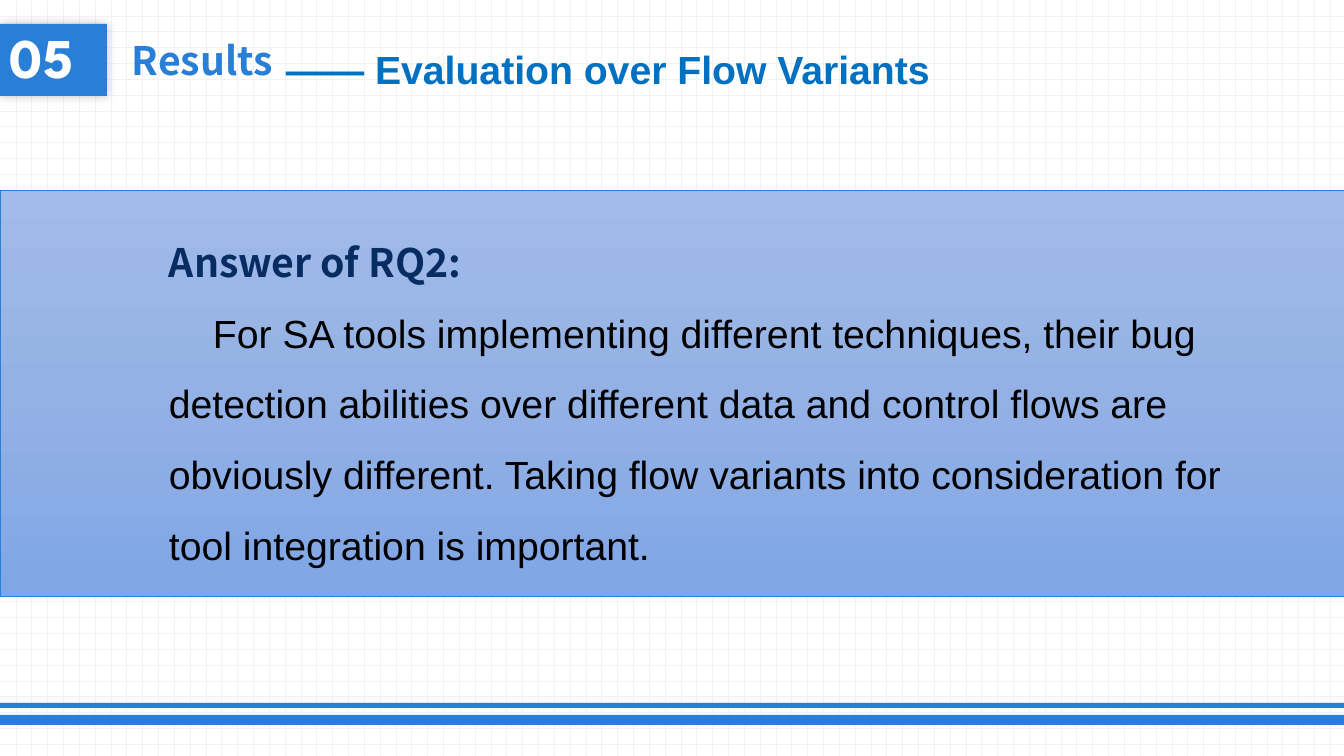
import copy

import lxml.etree
import pptx
import pptx.dml.color
import pptx.enum.dml
import pptx.enum.shapes
import pptx.enum.text
import pptx.oxml
import pptx.oxml.ns
import pptx.util

RGBColor = pptx.dml.color.RGBColor
BLUE = RGBColor(0x29, 0x7F, 0xD5)
SUBTITLE_BLUE = RGBColor(0x00, 0x70, 0xC0)
NAVY = RGBColor(0x07, 0x2C, 0x62)
BLACK = RGBColor(0x00, 0x00, 0x00)
WHITE = RGBColor(0xFF, 0xFF, 0xFF)
GRID = RGBColor(0xF2, 0xF2, 0xF2)
PANEL_STOPS = (
    RGBColor(0xA2, 0xBC, 0xE9),
    RGBColor(0x94, 0xB1, 0xE5),
    RGBColor(0x80, 0xA6, 0xE6),
)

HEADING_FONT = "Noto Sans CJK SC"
NUMBER_FONT = "League Spartan"
BODY_FONT = "Arial"
WIDTH, HEIGHT = 1344, 756
PX_PER_INCH = 100.8


def px(n):
    """Turn pixels into EMU."""
    return pptx.util.Emu(round(n * 914400 / PX_PER_INCH))


def add_rect(s, x, y, w, h, fill=BLUE):
    """Add a flat rectangle without outline or shadow."""
    sp = s.shapes.add_shape(
        pptx.enum.shapes.MSO_SHAPE.RECTANGLE, px(x), px(y), px(w), px(h))
    sp.shadow.inherit = False
    sp.fill.solid()
    sp.fill.fore_color.rgb = fill
    sp.line.fill.background()
    return sp


def add_textbox(s, x, y, w, h):
    """Add an empty wrapping text box."""
    return s.shapes.add_textbox(px(x), px(y), px(w), px(h))


def write(sp, text, font=BODY_FONT, size=28, color=BLACK, bold=True,
          spacing=1.0, indent=0, middle=False):
    """Write one formatted paragraph into a shape."""
    tf = sp.text_frame
    tf.word_wrap = True
    tf.vertical_anchor = (pptx.enum.text.MSO_ANCHOR.MIDDLE if middle
                          else pptx.enum.text.MSO_ANCHOR.TOP)
    p = tf.add_paragraph() if tf.text else tf.paragraphs[0]
    p.alignment = pptx.enum.text.PP_ALIGN.LEFT
    p.line_spacing = spacing
    if indent:
        p._p.get_or_add_pPr().set("indent", str(px(indent)))
    r = p.add_run()
    r.text = text
    r.font.name = font
    r.font.size = pptx.util.Pt(size)
    r.font.bold = bold
    r.font.color.rgb = color


def add_shadow(sp):
    """Give a shape a soft, centred black shadow."""
    effects = sp._element.spPr.find(pptx.oxml.ns.qn("a:effectLst"))
    shadow = lxml.etree.SubElement(
        effects, pptx.oxml.ns.qn("a:outerShdw"),
        blurRad=str(pptx.util.Pt(7)), dist="0", dir="0")
    color = lxml.etree.SubElement(
        shadow, pptx.oxml.ns.qn("a:srgbClr"), val="000000")
    lxml.etree.SubElement(color, pptx.oxml.ns.qn("a:alpha"), val="25000")


def add_header(s, x, y, w, h):
    """Place the section number, title and subtitle."""
    badge = add_rect(s, x, y, 107, h)
    add_shadow(badge)
    write(badge, "05", font=NUMBER_FONT, size=40, color=WHITE,
          spacing=0.9, middle=True)
    title = add_textbox(s, x + 122, y, 911, h)
    write(title, "Results", font=HEADING_FONT, color=BLUE, middle=True)
    subtitle = add_textbox(s, x + 276, y - 7, w - 439, h)
    write(subtitle, "—— Evaluation over Flow Variants",
          color=SUBTITLE_BLUE, spacing=1.5)


def add_answer(s, x, y, w, h):
    """Place the gradient panel with the answer text."""
    panel = add_rect(s, x, y, w, h)
    panel.line.color.rgb = BLUE
    panel.line.width = pptx.util.Pt(0.5)
    panel.fill.gradient()
    panel.fill.gradient_angle = 270
    first = panel._element.spPr.find(".//" + pptx.oxml.ns.qn("a:gs"))
    first.addnext(copy.deepcopy(first))
    for i, (stop, color) in enumerate(
            zip(panel.fill.gradient_stops, PANEL_STOPS)):
        stop.position = i / 2
        stop.color.rgb = color
    answer = add_textbox(s, x + 159, y + 20, w - 257, h - 48)
    write(answer, "Answer of RQ2:", font=HEADING_FONT, color=NAVY, spacing=1.5)
    write(answer,
          "For SA tools implementing different techniques, their bug "
          "detection abilities over different data and control flows are "
          "obviously different. Taking flow variants into consideration for "
          "tool integration is important.",
          bold=False, spacing=1.5, indent=44)


def add_footer(s, x, y, w):
    """Place the thin and thick closing bars."""
    add_rect(s, x, y, w, 5)
    add_rect(s, x, y + 12, w, 10)


def main():
    """Build and save the slide."""
    prs = pptx.Presentation()
    prs.slide_width, prs.slide_height = px(WIDTH), px(HEIGHT)
    s = prs.slides.add_slide(prs.slide_layouts[6])
    fill = s.background.fill
    fill.patterned()
    fill.pattern = pptx.enum.dml.MSO_PATTERN.DOTTED_GRID
    fill.fore_color.rgb = GRID
    fill.back_color.rgb = WHITE
    add_footer(s, 0, 703, WIDTH)
    add_answer(s, 0, 190, WIDTH, 406)
    add_header(s, 0, 24, WIDTH, 72)
    prs.save("out.pptx")


if __name__ == "__main__":
    main()
